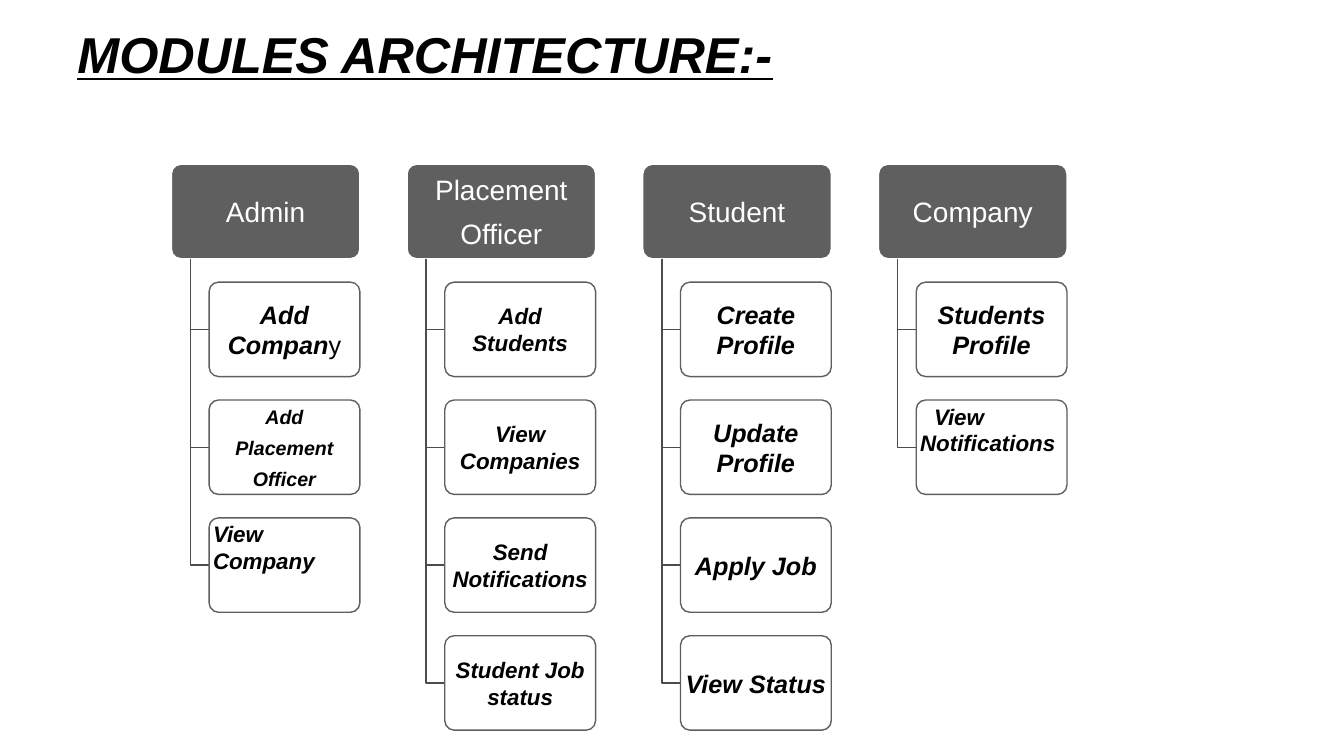
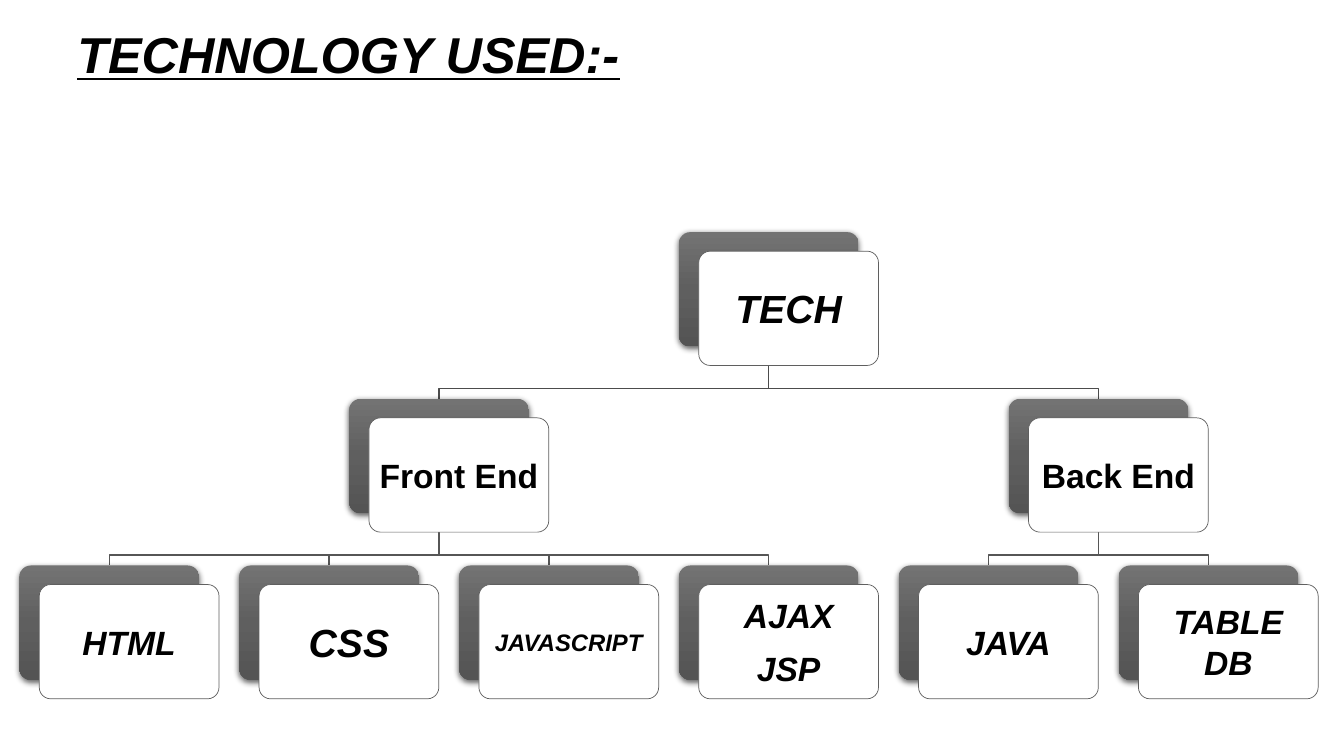
"""Build the module architecture and technology slides."""
from copy import deepcopy
from dataclasses import dataclass

from lxml.etree import SubElement
from pptx import Presentation
from pptx.dml.color import RGBColor
from pptx.enum.shapes import MSO_SHAPE as Preset
from pptx.enum.text import MSO_ANCHOR as Anchor, PP_ALIGN as Align
from pptx.oxml.ns import qn
from pptx.shapes.autoshape import Shape
from pptx.slide import Slide
from pptx.text.text import TextFrame
from pptx.util import Cm, Length, Pt

BLACK = RGBColor(0x00, 0x00, 0x00)
WHITE = RGBColor(0xFF, 0xFF, 0xFF)
GRAY = RGBColor(0x5F, 0x5F, 0x5F)
LIGHT_GRAY = RGBColor(0x73, 0x73, 0x73)
DEEP_GRAY = RGBColor(0x54, 0x54, 0x54)
LINK_GRAY = RGBColor(0x4C, 0x4C, 0x4C)
LEAF_LINK_GRAY = RGBColor(0x56, 0x56, 0x56)
FONT = "Arial"

MODULE_LEFT, MODULE_TOP = Cm(4.32), Cm(4.14)
MODULE_PITCH, ROW_PITCH = Cm(5.94), Cm(2.97)
HEADER_WIDTH, BOX_WIDTH, BOX_HEIGHT = Cm(4.75), Cm(3.8), Cm(2.38)
SPINE_INSET = Cm(0.48)
MODULE_MARGINS = Cm(0.03), Cm(0)

TREE_LEFT, TREE_TOP = Cm(0.49), Cm(5.85)
TREE_PITCH, LEVEL_PITCH = Cm(5.54), Cm(4.2)
CARD_WIDTH, CARD_HEIGHT = Cm(4.53), Cm(2.88)
CARD_SHIFT_X, CARD_SHIFT_Y = Cm(0.5), Cm(0.48)
ELBOW_RISE = Cm(0.26)
CARD_MARGINS = Cm(0.15), Cm(0.15)


@dataclass(frozen=True)
class Run:
    """A stretch of text in one style."""
    text: str
    size: float
    bold: bool = True
    italic: bool = True
    underline: bool = False
    color: RGBColor = BLACK


@dataclass(frozen=True)
class Label:
    """Paragraphs of runs and their placement."""
    paragraphs: tuple[tuple[Run, ...], ...]
    align: Align = Align.CENTER
    anchor: Anchor = Anchor.MIDDLE
    indent: Length = Cm(0)


@dataclass(frozen=True)
class Module:
    """A module header with the tasks below it."""
    header: Label
    tasks: tuple[Label, ...]


@dataclass(frozen=True)
class Node:
    """A card of the tree, placed by leaf column or over its children."""
    label: Label
    leaf_column: int = 0
    children: tuple["Node", ...] = ()

    @property
    def column(self) -> float:
        """Return the column, centred over the children if there are any."""
        if not self.children:
            return self.leaf_column
        return (self.children[0].column + self.children[-1].column) / 2


def strong(size: float, *lines: str) -> Label:
    """Make a centred bold italic label."""
    return Label(tuple((Run(line, size),) for line in lines))


def heading(*lines: str) -> Label:
    """Make the white label of a module header."""
    return Label(tuple((Run(line, 20, False, False, color=WHITE),) for line in lines))


def corner(size: float, text: str, indent: Length = Cm(0)) -> Label:
    """Make a label set in the top left corner."""
    return Label(((Run(text, size),),), Align.LEFT, Anchor.TOP, indent)


def upright(text: str) -> Label:
    """Make a bold label without italics."""
    return Label(((Run(text, 24, italic=False),),))


MODULES = (
    Module(heading("Admin"), (
        Label(((Run("Add Compan", 18), Run("y", 18, False, False)),)),
        strong(14, "Add", "Placement", "Officer"),
        corner(16, "View Company"),
    )),
    Module(heading("Placement", "Officer"), tuple(
        strong(16, text) for text in (
            "Add Students", "View Companies", "Send Notifications", "Student Job status")
    )),
    Module(heading("Student"), tuple(
        strong(18, text) for text in (
            "Create Profile", "Update Profile", "Apply Job", "View Status")
    )),
    Module(heading("Company"), (
        strong(18, "Students Profile"),
        corner(16, "View Notifications", Cm(0.35)),
    )),
)

TECHNOLOGY = Node(strong(28, "TECH"), children=(
    Node(upright("Front End"), children=(
        Node(strong(24, "HTML"), 0),
        Node(strong(28, "CSS"), 1),
        Node(strong(17, "JAVASCRIPT"), 2),
        Node(strong(24, "AJAX", "JSP"), 3),
    )),
    Node(upright("Back End"), children=(
        Node(strong(24, "JAVA"), 4),
        Node(strong(24, "TABLE DB"), 5),
    )),
))


def write(frame: TextFrame, label: Label, margins: tuple[Length, Length]) -> None:
    """Fill a text frame with a label."""
    frame.word_wrap = True
    frame.vertical_anchor = label.anchor
    frame.margin_left = frame.margin_right = margins[0]
    frame.margin_top = frame.margin_bottom = margins[1]
    for index, runs in enumerate(label.paragraphs):
        paragraph = frame.add_paragraph() if index else frame.paragraphs[0]
        paragraph.alignment = label.align
        paragraph.space_after = Pt(0.38 * runs[0].size)
        if label.indent:
            paragraph._p.get_or_add_pPr().set("indent", str(label.indent))
        for item in runs:
            run = paragraph.add_run()
            run.text = item.text
            font = run.font
            font.name, font.size = FONT, Pt(item.size)
            font.bold, font.italic, font.underline = item.bold, item.italic, item.underline
            font.color.rgb = item.color


def add_title(slide: Slide, text: str) -> None:
    """Add the underlined slide title."""
    box = slide.shapes.add_textbox(Cm(1.7), Cm(0.53), Cm(30.48), Cm(1.63))
    label = Label(((Run(text, 36, underline=True),),), Align.LEFT)
    write(box.text_frame, label, (Cm(0.25), Cm(0.13)))


def add_box(slide: Slide, left: int, top: int, width: int, height: int) -> Shape:
    """Add a rounded rectangle without a shadow."""
    shape = slide.shapes.add_shape(Preset.ROUNDED_RECTANGLE, left, top, width, height)
    shape.adjustments[0] = 0.1
    shape.shadow.inherit = False
    return shape


def paint(shape: Shape, fill: RGBColor, line: RGBColor, weight: float) -> None:
    """Give a shape a solid fill and an outline."""
    shape.fill.solid()
    shape.fill.fore_color.rgb = fill
    shape.line.color.rgb = line
    shape.line.width = Pt(weight)


def paint_backing(shape: Shape) -> None:
    """Give a shape the gray gradient and soft shadow of a card backing."""
    shape.line.fill.background()
    fill = shape.fill
    fill.gradient()
    fill.gradient_angle = 270
    properties = shape._element.spPr
    stops = properties.find(qn("a:gradFill")).find(qn("a:gsLst"))
    stops.insert(1, deepcopy(stops[0]))
    for index, (stop, color) in enumerate(
            zip(fill.gradient_stops, (LIGHT_GRAY, GRAY, DEEP_GRAY))):
        stop.position = index / 2
        stop.color.rgb = color
    shadow = SubElement(properties.find(qn("a:effectLst")), qn("a:outerShdw"),
                        blurRad=str(Pt(4.5)), dist=str(Pt(1.5)), dir="5400000",
                        algn="ctr", rotWithShape="0")
    color = SubElement(shadow, qn("a:srgbClr"), val=str(BLACK))
    SubElement(color, qn("a:alpha"), val="63000")


def add_link(slide: Slide, points: list[tuple[int, int]], color: RGBColor) -> None:
    """Add an open bent line through the points."""
    builder = slide.shapes.build_freeform(*points[0])
    builder.add_line_segments(points[1:], close=False)
    shape = builder.convert_to_shape()
    shape.shadow.inherit = False
    shape.fill.background()
    shape.line.color.rgb = color
    shape.line.width = Pt(1)


def add_module(slide: Slide, module: Module, left: int) -> None:
    """Add a module header and its linked tasks."""
    header = add_box(slide, left, MODULE_TOP, HEADER_WIDTH, BOX_HEIGHT)
    paint(header, GRAY, WHITE, 1)
    write(header.text_frame, module.header, MODULE_MARGINS)
    spine = left + SPINE_INSET
    task_left = left + HEADER_WIDTH - BOX_WIDTH
    for row, task in enumerate(module.tasks, start=1):
        top = MODULE_TOP + row * ROW_PITCH
        middle = top + BOX_HEIGHT // 2
        add_link(slide, [(spine, MODULE_TOP + BOX_HEIGHT), (spine, middle),
                         (task_left, middle)], LINK_GRAY)
        box = add_box(slide, task_left, top, BOX_WIDTH, BOX_HEIGHT)
        paint(box, WHITE, GRAY, 1)
        write(box.text_frame, task, MODULE_MARGINS)


def card_corner(node: Node, level: int) -> tuple[int, int]:
    """Return the left and top of a card backing."""
    return TREE_LEFT + round(node.column * TREE_PITCH), TREE_TOP + level * LEVEL_PITCH


def add_tree_links(slide: Slide, node: Node, level: int = 0) -> None:
    """Link a node to its children, and these to theirs."""
    left, top = card_corner(node, level)
    center = left + CARD_WIDTH // 2
    color = LEAF_LINK_GRAY if level else LINK_GRAY
    for child in node.children:
        child_left, child_top = card_corner(child, level + 1)
        child_center = child_left + CARD_WIDTH // 2
        elbow = child_top - ELBOW_RISE
        add_link(slide, [(center, top + CARD_HEIGHT), (center, elbow),
                         (child_center, elbow), (child_center, child_top)], color)
        add_tree_links(slide, child, level + 1)


def add_tree_cards(slide: Slide, node: Node, level: int = 0) -> None:
    """Add the card of a node and those of its children."""
    left, top = card_corner(node, level)
    paint_backing(add_box(slide, left, top, CARD_WIDTH, CARD_HEIGHT))
    card = add_box(slide, left + CARD_SHIFT_X, top + CARD_SHIFT_Y, CARD_WIDTH, CARD_HEIGHT)
    paint(card, WHITE, GRAY, 0.5)
    write(card.text_frame, node.label, CARD_MARGINS)
    for child in node.children:
        add_tree_cards(slide, child, level + 1)


def main() -> None:
    """Build and save the presentation."""
    presentation = Presentation()
    presentation.slide_width, presentation.slide_height = Cm(33.87), Cm(19.05)
    blank = presentation.slide_layouts[6]

    slide = presentation.slides.add_slide(blank)
    add_title(slide, "MODULES ARCHITECTURE:-")
    for index, module in enumerate(MODULES):
        add_module(slide, module, MODULE_LEFT + index * MODULE_PITCH)

    slide = presentation.slides.add_slide(blank)
    add_title(slide, "TECHNOLOGY USED:-")
    add_tree_links(slide, TECHNOLOGY)
    add_tree_cards(slide, TECHNOLOGY)

    presentation.save("out.pptx")


main()
